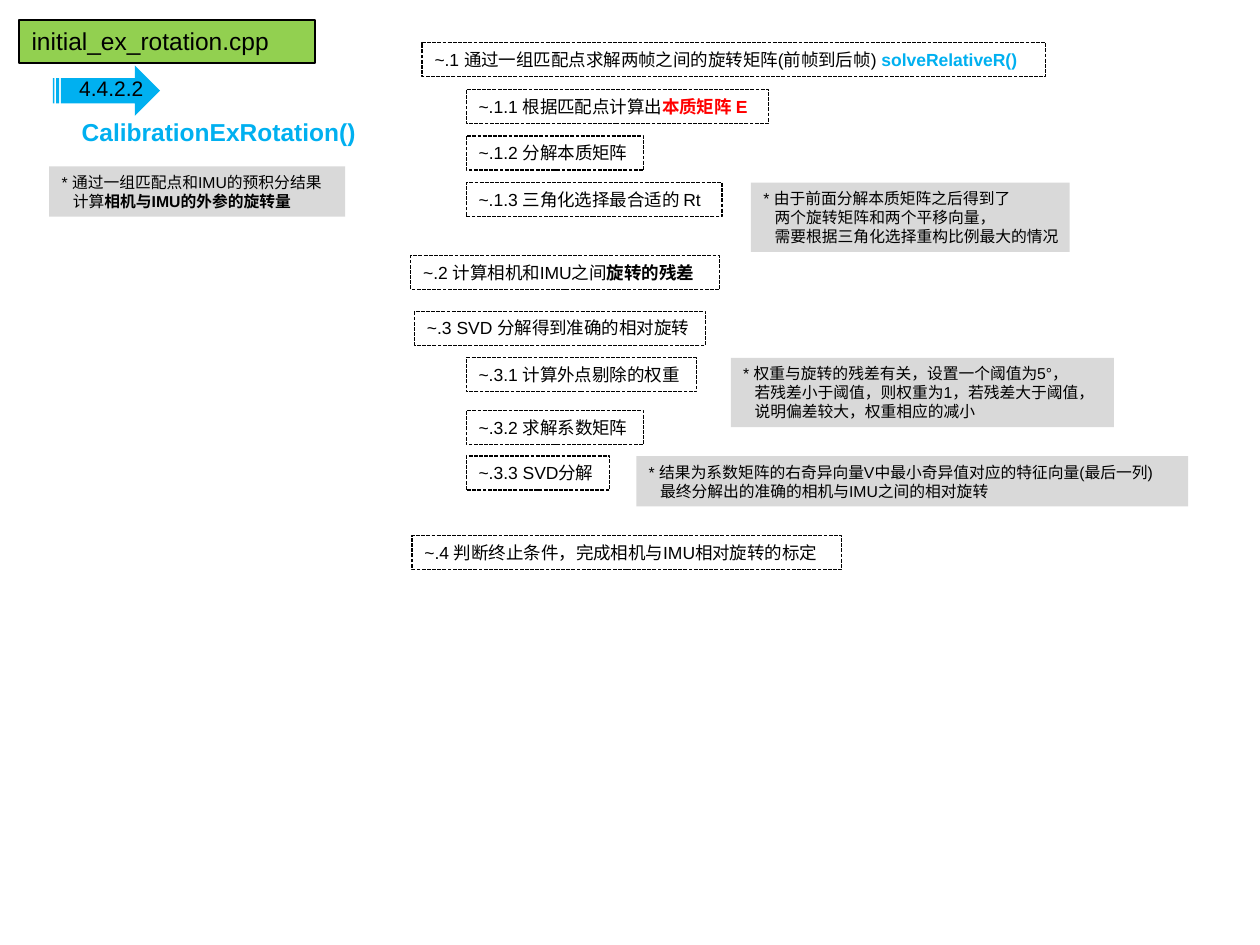
from pptx import Presentation
from pptx.dml.color import RGBColor
from pptx.enum.dml import MSO_LINE
from pptx.enum.shapes import MSO_SHAPE
from pptx.enum.text import MSO_ANCHOR, MSO_AUTO_SIZE, PP_ALIGN
from pptx.util import Inches, Pt

RECT = MSO_SHAPE.RECTANGLE
ARROW = MSO_SHAPE.STRIPED_RIGHT_ARROW
DASH = MSO_LINE.SQUARE_DOT
TOP = MSO_ANCHOR.TOP
LEFT = PP_ALIGN.LEFT
FIXED = MSO_AUTO_SIZE.NONE

COLORS = {"ink": "000000", "blue": "00B0F0", "red": "FF0000",
          "gray": "D9D9D9", "green": "92D050"}
FRAME = {"word_wrap": True, "auto_size": FIXED, "vertical_anchor": TOP,
         "margin_left": Inches(0.1), "margin_right": 0,
         "margin_top": Inches(0.05), "margin_bottom": Inches(0.05)}
HANG = Inches(0.09)

SUB_X = 3.7
STEP_H = 0.27
STEPS = [
    (3.35, 0.34, 4.95, [("~.1 通过一组匹配点求解两帧之间的旋转矩阵(前帧到后帧) ",),
                        ("solveRelativeR()", "blue", True)]),
    (SUB_X, 0.71, 2.4, [("~.1.1 根据匹配点计算出",), ("本质矩阵 E", "red", True)]),
    (SUB_X, 1.08, 1.41, [("~.1.2 分解本质矩阵",)]),
    (SUB_X, 1.45, 2.03, [("~.1.3 三角化选择最合适的 Rt",)]),
    (3.26, 2.03, 2.45, [("~.2 计算相机和IMU之间",), ("旋转的残差", "ink", True)]),
    (3.29, 2.47, 2.31, [("~.3 SVD 分解得到准确的相对旋转",)]),
    (SUB_X, 2.84, 1.83, [("~.3.1 计算外点剔除的权重",)]),
    (SUB_X, 3.26, 1.41, [("~.3.2 求解系数矩阵",)]),
    (SUB_X, 3.62, 1.14, [("~.3.3 SVD分解",)]),
    (3.27, 4.25, 3.41, [("~.4 判断终止条件，完成相机与IMU相对旋转的标定",)]),
]
NOTES = [
    ((0.39, 1.32, 2.35, 0.4), [
        [("* 通过一组匹配点和IMU的预积分结果",)],
        [("计算",), ("相机与IMU的外参的旋转量", "ink", True)]]),
    ((5.96, 1.45, 2.53, 0.55), [
        [("* 由于前面分解本质矩阵之后得到了",)],
        [("两个旋转矩阵和两个平移向量，",)],
        [("需要根据三角化选择重构比例最大的情况",)]]),
    ((5.8, 2.84, 3.04, 0.55), [
        [("* 权重与旋转的残差有关，设置一个阈值为5°，",)],
        [("若残差小于阈值，则权重为1，若残差大于阈值，",)],
        [("说明偏差较大，权重相应的减小",)]]),
    ((5.05, 3.62, 4.38, 0.4), [
        [("* 结果为系数矩阵的右奇异向量V中最小奇异值对应的特征向量(最后一列)",)],
        [("最终分解出的准确的相机与IMU之间的相对旋转",)]]),
]


def tint(name):
    return RGBColor.from_string(COLORS[name])


def assign(item, values):
    for key, value in values.items():
        setattr(item, key, value)


def paint(shape, fill):
    shape.fill.solid()
    shape.fill.fore_color.rgb = tint(fill)


def outline(shape):
    shape.line.color.rgb = tint("ink")
    shape.line.width = Pt(0.75)


def add_run(para, size, text, color="ink", bold=False):
    run = para.add_run()
    run.text = text
    assign(run.font, {"name": "Arial", "size": Pt(size), "bold": bold})
    run.font.color.rgb = tint(color)


def write(shape, lines, size):
    frame = shape.text_frame
    assign(frame, FRAME)
    for row, runs in enumerate(lines):
        para = frame.add_paragraph() if row else frame.paragraphs[0]
        para.alignment = LEFT
        if row:
            para._p.get_or_add_pPr().set("marL", str(HANG))
        for run in runs:
            add_run(para, size, *run)


def add_block(slide, kind, box):
    shape = slide.shapes.add_shape(kind, *map(Inches, box))
    shape.shadow.inherit = False
    shape.fill.background()
    shape.line.fill.background()
    return shape


def add_label(slide, box, run, size):
    label = slide.shapes.add_textbox(*map(Inches, box))
    write(label, [[run]], size)


def add_title(slide, box):
    title = slide.shapes.title
    assign(title, dict(zip(("left", "top", "width", "height"), map(Inches, box))))
    paint(title, "green")
    outline(title)
    write(title, [[("initial_ex_rotation.cpp",)]], 14)


def add_header(slide, box):
    left, top, width, height = box
    paint(add_block(slide, ARROW, (left, top, 0.85, 0.4)), "blue")
    add_label(slide, (left + 0.11, top + 0.03, 0.71, 0.3), ("4.4.2.2",), 12)
    add_label(slide, (left + 0.13, top + height - 0.34, width - 0.13, 0.34),
              ("CalibrationExRotation()", "blue", True), 14)


def add_step(slide, box, runs):
    step = add_block(slide, RECT, box)
    outline(step)
    step.line.dash_style = DASH
    write(step, [runs], 10)


def add_note(slide, box, lines):
    note = add_block(slide, RECT, box)
    paint(note, "gray")
    write(note, lines, 9)


def main():
    deck = Presentation()
    deck.slide_width, deck.slide_height = Inches(10), Inches(7.5)
    slide = deck.slides.add_slide(deck.slide_layouts[5])
    add_title(slide, (0.15, 0.16, 2.35, 0.34))
    add_header(slide, (0.42, 0.52, 2.56, 0.7))
    for left, top, width, runs in STEPS:
        add_step(slide, (left, top, width, STEP_H), runs)
    for box, lines in NOTES:
        add_note(slide, box, lines)
    deck.save("out.pptx")


if __name__ == "__main__":
    main()
